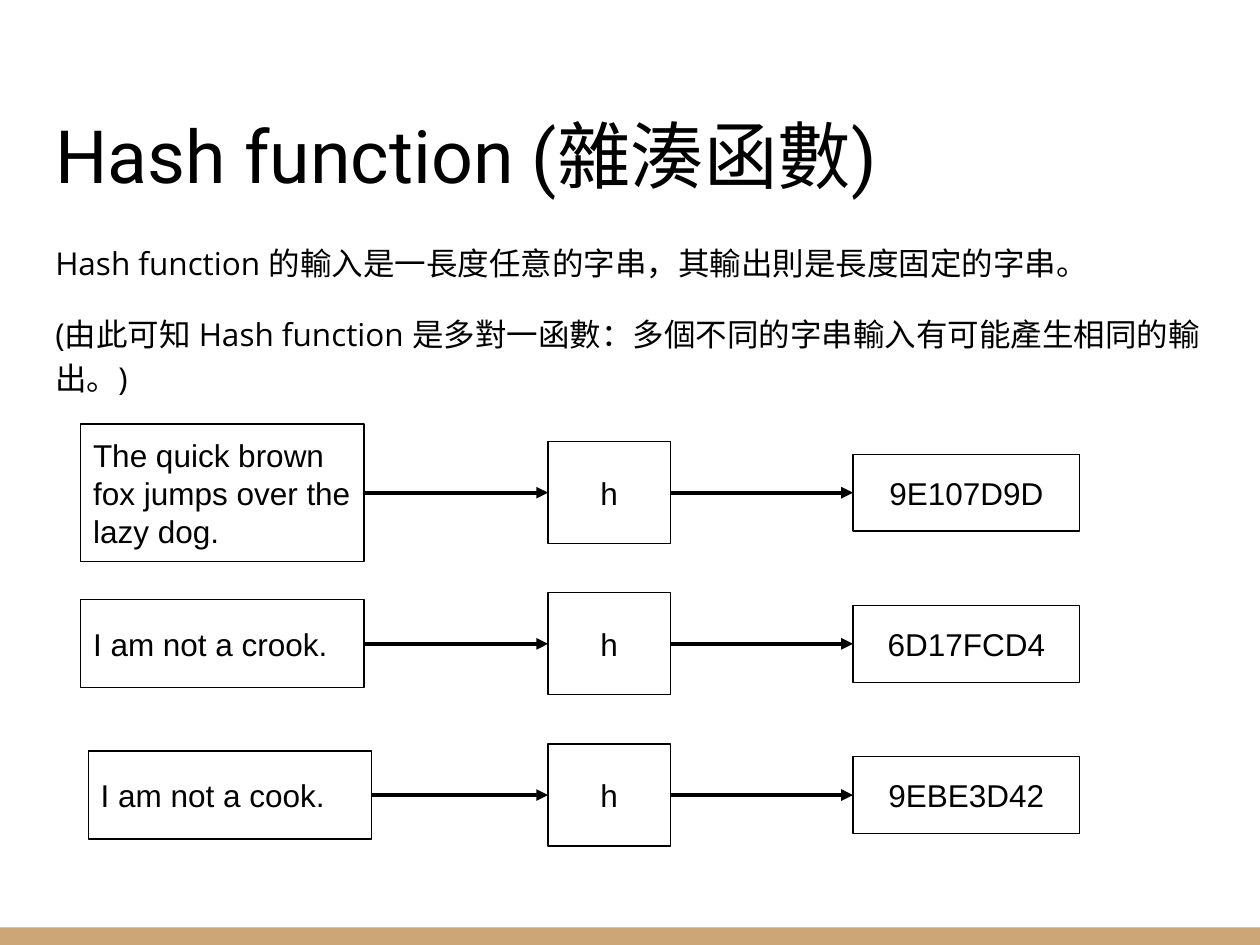
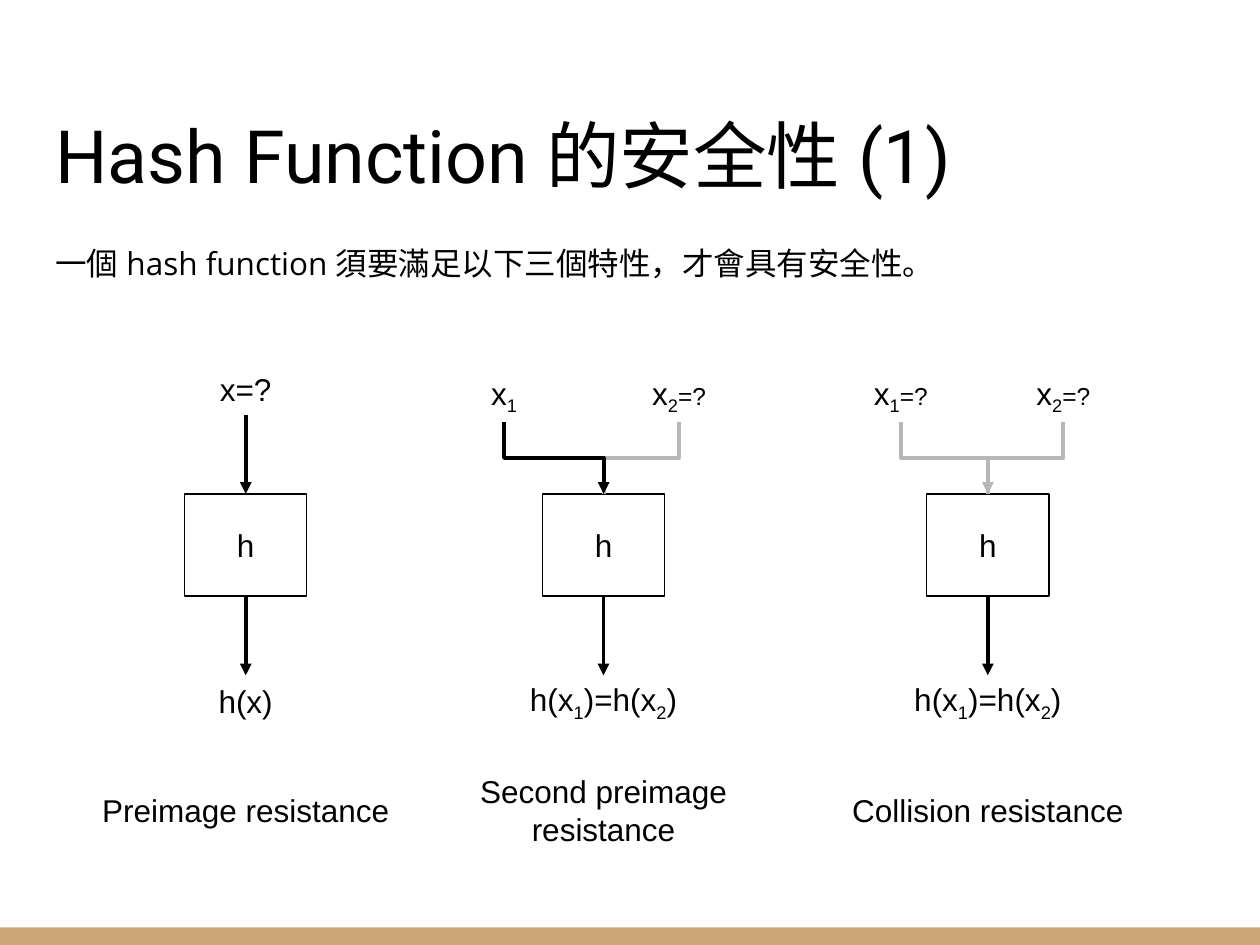
"""Build two slides that explain hash functions and their security."""
from lxml.etree import SubElement
from pptx import Presentation
from pptx.dml.color import RGBColor
from pptx.enum.shapes import MSO_CONNECTOR as Link, MSO_SHAPE as Preset
from pptx.enum.text import MSO_ANCHOR as Anchor, PP_ALIGN as Align
from pptx.oxml.ns import qn
from pptx.util import Inches, Pt

COLORS = {"ink": "000000", "unknown": "B7B7B7", "band": "CCA677"}
TITLE_FONT, BODY_FONT, LABEL_FONT = "Roboto", "Open Sans", "Arial"
HASH_W, HASH_H = 0.97, 0.81
DIGEST_W, DIGEST_H = 1.8, 0.61


def rgb(name):
    return RGBColor.from_string(COLORS[name])


def write_text(frame, *paragraphs, size=18, font=LABEL_FONT, align=Align.LEFT,
               anchor=Anchor.MIDDLE, line_spacing=None, gap=0):
    frame.word_wrap = True
    frame.vertical_anchor = anchor
    frame.margin_left = frame.margin_right = Inches(0.1)
    frame.margin_top = frame.margin_bottom = Inches(0.1)
    for index, pieces in enumerate(paragraphs):
        paragraph = frame.add_paragraph() if index else frame.paragraphs[0]
        paragraph.alignment = align
        paragraph.line_spacing = line_spacing
        paragraph.space_before = Pt(gap if index else 0)
        for piece in [(pieces, {})] if isinstance(pieces, str) else pieces:
            words, style = piece
            run = paragraph.add_run()
            run.text = words
            run.font.size = Pt(style.get("size", size))
            run.font.color.rgb = rgb("ink")
            run.font.name = font
            properties = run.font._element
            SubElement(properties, qn("a:ea")).set("typeface", font)
            if style.get("subscript"):
                properties.set("baseline", "-25000")


def variable(index, tail="", **style):
    return [("x", {}), (str(index), {"subscript": True})] + ([(tail, style)] if tail else [])


class Deck:
    """Hold the shared style and the slide being filled."""

    def __init__(self):
        self.file = Presentation()
        self.file.slide_width, self.file.slide_height = Inches(10), Inches(7.5)

    def start_slide(self, title, *body, body_height):
        self.slide = self.file.slides.add_slide(self.file.slide_layouts[6])
        band = self.shape(0, 7.36, 10, 0.14)
        band.fill.solid()
        band.fill.fore_color.rgb = rgb("band")
        band.line.fill.background()
        self.text(0.34, 0.46, 9.32, 1.21, title, size=42, font=TITLE_FONT, anchor=Anchor.BOTTOM)
        self.text(0.34, 1.79, 9.32, body_height, *body, font=BODY_FONT,
                  anchor=Anchor.TOP, line_spacing=1.15, gap=16)

    def shape(self, left, top, width, height):
        shape = self.slide.shapes.add_shape(
            Preset.RECTANGLE, Inches(left), Inches(top), Inches(width), Inches(height))
        shape.shadow.inherit = False
        return shape

    def text(self, left, top, width, height, *paragraphs, **style):
        holder = self.slide.shapes.add_textbox(
            Inches(left), Inches(top), Inches(width), Inches(height))
        write_text(holder.text_frame, *paragraphs, **style)

    def label(self, center, top, width, content):
        self.text(center - width / 2, top, width, 0.41, content, align=Align.CENTER)

    def box(self, left, middle, width, height, content, align=Align.CENTER):
        box = self.shape(left, middle - height / 2, width, height)
        box.fill.background()
        box.line.color.rgb = rgb("ink")
        box.line.width = Pt(0.75)
        write_text(box.text_frame, content, align=align)

    def line(self, x1, y1, x2, y2, color="ink", arrow=True, kind=Link.STRAIGHT):
        line = self.slide.shapes.add_connector(
            kind, Inches(x1), Inches(y1), Inches(x2), Inches(y2))
        line.line.color.rgb = rgb(color)
        line.line.width = Pt(2.25)
        if arrow:
            SubElement(line.line._get_or_add_ln(), qn("a:tailEnd")).set("type", "triangle")
        SubElement(line._element.spPr, qn("a:effectLst"))
        return line

    def elbow_down(self, x1, y1, x2, y2, color, arrow):
        """Draw a vertical-first elbow as a horizontal one turned a quarter."""
        side = 1 if x1 > x2 else -1
        x, y = (x1 + x2) / 2, (y1 + y2) / 2
        reach, rise = side * (y2 - y1) / 2, abs(x2 - x1) / 2
        elbow = self.line(x - reach, y - rise, x + reach, y + rise, color, arrow, Link.ELBOW)
        elbow.rotation = 90 if side > 0 else 270


def add_hash_examples(deck):
    deck.start_slide(
        "Hash function (雜湊函數)",
        "Hash function 的輸入是一長度任意的字串，其輸出則是長度固定的字串。",
        "(由此可知 Hash function 是多對一函數：多個不同的字串輸入有可能產生相同的輸出。)",
        body_height=1.46)
    examples = [
        ("The quick brown fox jumps over the lazy dog.", 0.64, 1.09, "9E107D9D"),
        ("I am not a crook.", 0.64, 0.7, "6D17FCD4"),
        ("I am not a cook.", 0.7, 0.7, "9EBE3D42"),
    ]
    message_w, hash_left, digest_left = 2.25, 4.35, 6.77
    for row, (message, left, height, digest) in enumerate(examples):
        middle = 3.91 + 1.2 * row
        deck.box(left, middle, message_w, height, message, Align.LEFT)
        deck.box(hash_left, middle, HASH_W, HASH_H, "h")
        deck.box(digest_left, middle, DIGEST_W, DIGEST_H, digest)
        deck.line(left + message_w, middle, hash_left, middle)
        deck.line(hash_left + HASH_W, middle, digest_left, middle)


def add_security_properties(deck):
    deck.start_slide(
        "Hash Function 的安全性 (1)",
        "一個 hash function 須要滿足以下三個特性，才會具有安全性。",
        body_height=0.57)
    hash_top, output_top = 3.92, 5.36
    hash_bottom = hash_top + HASH_H
    collision = variable(1, ")=h(") + variable(2, ")")
    collision = [("h(", {})] + collision
    unknown_x1, unknown_x2 = (variable(i, "=?", size=14) for i in (1, 2))
    properties = [
        ("Preimage resistance", 1.95, "h(x)", HASH_W, []),
        ("Second preimage resistance", 4.79, collision, 1.69,
         [(5.39, 1.21, unknown_x2, "unknown", False), (4, 0.6, variable(1), "ink", True)]),
        ("Collision resistance", 7.84, collision, 1.69,
         [(8.44, 1.21, unknown_x2, "unknown", False), (7.15, 0.78, unknown_x1, "unknown", True)]),
    ]
    for name, center, output, output_w, inputs in properties:
        deck.box(center - HASH_W / 2, hash_top + HASH_H / 2, HASH_W, HASH_H, "h")
        deck.label(center, output_top, output_w, output)
        deck.line(center, hash_bottom, center, output_top)
        deck.label(center, 6.22, 2.72, name)
        for x, width, content, color, arrow in inputs:
            deck.label(x, 2.93, width, content)
            deck.elbow_down(x, 3.35, center, hash_top, color, arrow)
        if not inputs:
            deck.label(center, 2.88, HASH_W, "x=?")
            deck.line(center, 3.29, center, hash_top)


def main():
    deck = Deck()
    add_hash_examples(deck)
    add_security_properties(deck)
    deck.file.save("out.pptx")


if __name__ == "__main__":
    main()
